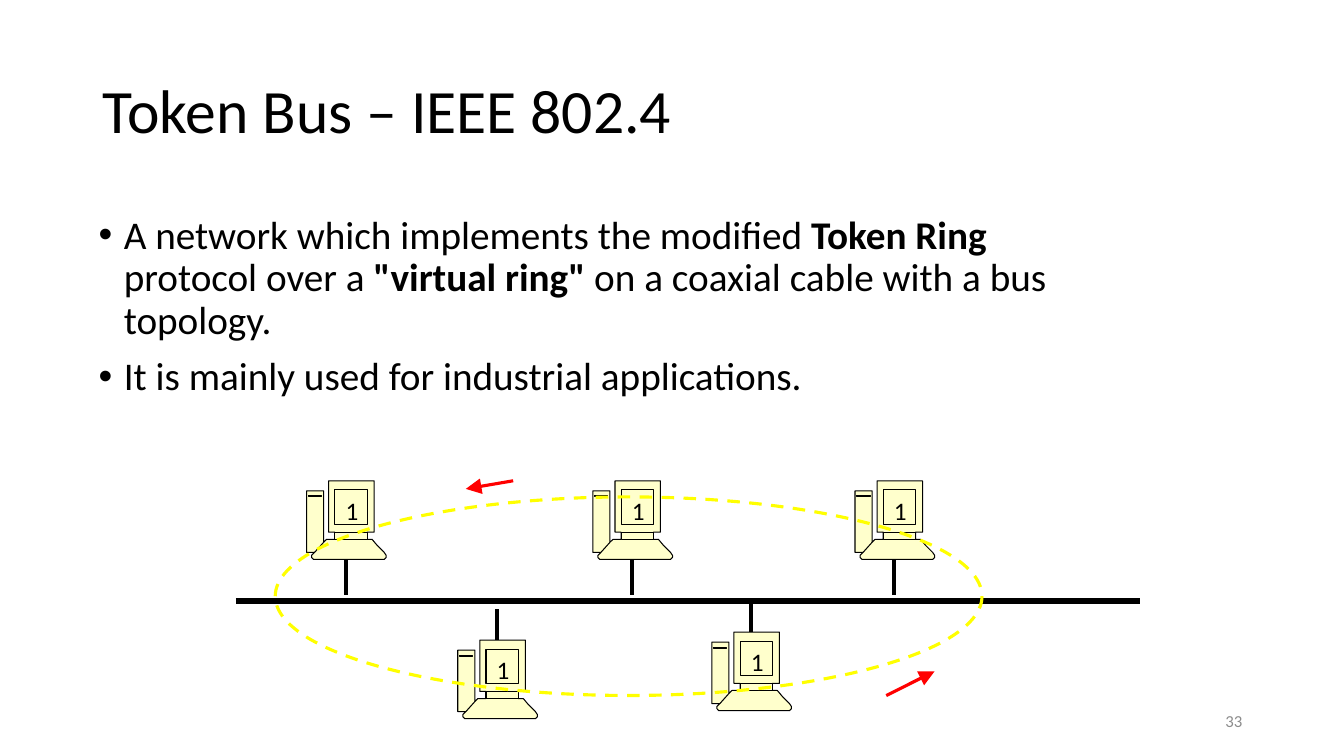
from lxml.etree import SubElement
from pptx import Presentation
from pptx.dml.color import RGBColor
from pptx.enum.dml import MSO_LINE
from pptx.enum.shapes import MSO_CONNECTOR, MSO_SHAPE
from pptx.enum.text import MSO_ANCHOR, PP_ALIGN
from pptx.oxml.ns import qn
from pptx.util import Inches, Pt

COLORS = {"ink": "000000", "page_number": "8C8C8C", "computer": "FFFFCC",
          "ring": "FFFF00", "token": "FF0000"}
FONT = "Calibri"
BUS_Y = 5.96
UPPER_STATIONS = [(3.04, 4.77), (5.88, 4.77), (8.48, 4.77)]
LOWER_STATIONS = [(4.54, 6.35), (7.06, 6.27)]
TOKEN_MOVES = [((5.09, 4.77), (4.62, 4.85)), ((8.79, 6.9), (9.27, 6.66))]
CASE = [
    (0.17, 0.61), (0.2, 0.58), (0.28, 0.58), (0.28, 0.51), (0.22, 0.51),
    (0.22, 0), (0.67, 0), (0.67, 0.51), (0.6, 0.51), (0.6, 0.58),
    (0.65, 0.58), (0.7, 0.64), (0.77, 0.71), (0.79, 0.74), (0.79, 0.76),
    (0.77, 0.78), (0.07, 0.78), (0.05, 0.76), (0.05, 0.74), (0.08, 0.71),
    (0, 0.71), (0, 0.1), (0.17, 0.1)]
KEYBOARD_EDGE = [(0.17, 0.61), (0.08, 0.71)]
SCREEN = [(0.28, 0.09), (0.6, 0.09), (0.6, 0.43), (0.28, 0.43)]
DRIVE_SLOT = [(0.02, 0.15), (0.15, 0.15), (0.15, 0.16), (0.02, 0.16)]
NECK = [(0.28, 0.51), (0.6, 0.51), (0.6, 0.58), (0.28, 0.58)]
COMPUTER_PARTS = [CASE, KEYBOARD_EDGE, SCREEN, DRIVE_SLOT, NECK]
BULLETS = [
    [("A network which implements the modified ", False), ("Token Ring", True),
     (" protocol over a ", False), ('"virtual ring"', True),
     (" on a coaxial cable with a bus topology.", False)],
    [("It is mainly used for industrial applications.", False)]]


def rgb(name):
    """Return the named colour."""
    return RGBColor.from_string(COLORS[name])


def add_run(paragraph, text, size, color="ink", bold=False):
    """Append one formatted run."""
    run = paragraph.add_run()
    run.text = text
    run.font.name = FONT
    run.font.size = Pt(size)
    run.font.bold = bold
    run.font.color.rgb = rgb(color)


def add_text_frame(slide, left, top, width, height, anchor=MSO_ANCHOR.MIDDLE):
    """Add a wrapping text box and return its frame."""
    box = slide.shapes.add_textbox(Inches(left), Inches(top), Inches(width), Inches(height))
    frame = box.text_frame
    frame.word_wrap = True
    frame.vertical_anchor = anchor
    return frame


def add_bullets(slide):
    """Add the description of the network."""
    frame = add_text_frame(slide, 0.88, 2.09, 10, 2.32, MSO_ANCHOR.TOP)
    for index, runs in enumerate(BULLETS):
        paragraph = frame.add_paragraph() if index else frame.paragraphs[0]
        paragraph.line_spacing = 0.9
        paragraph.space_before = Pt(10 if index else 0)
        properties = paragraph._p.get_or_add_pPr()
        properties.set("marL", str(Inches(0.25)))
        properties.set("indent", str(Inches(-0.25)))
        SubElement(properties, qn("a:buFont")).set("typeface", "Arial")
        SubElement(properties, qn("a:buChar")).set("char", "•")
        for text, bold in runs:
            add_run(paragraph, text, 28, bold=bold)


def add_line(slide, start, end, width, color="ink", arrow=False):
    """Add a straight line, with a large arrowhead at its end if asked."""
    line = slide.shapes.add_connector(
        MSO_CONNECTOR.STRAIGHT, *(Inches(value) for value in (*start, *end)))
    line.line.color.rgb = rgb(color)
    line.line.width = Pt(width)
    if arrow:
        SubElement(line.line._get_or_add_ln(), qn("a:tailEnd"),
                   {"type": "triangle", "w": "lg", "len": "lg"})
    SubElement(line._element.spPr, qn("a:effectLst"))


def style_shape(shape, fill, line, width):
    """Set fill and outline, and drop the shadow."""
    shape.shadow.inherit = False
    if fill:
        shape.fill.solid()
        shape.fill.fore_color.rgb = rgb(fill)
    else:
        shape.fill.background()
    shape.line.color.rgb = rgb(line)
    shape.line.width = Pt(width)


def split_contours(shape):
    """Give each contour its own outline, so that inner parts stay filled."""
    outlines = shape._element.spPr.find(".//" + qn("a:pathLst"))
    combined = outlines[0]
    for step in list(combined):
        if step.tag == qn("a:moveTo"):
            contour = SubElement(outlines, combined.tag, dict(combined.attrib))
        contour.append(step)
    outlines.remove(combined)


def add_computer(slide, left, top):
    """Draw a numbered computer from its top left corner."""
    parts = [[(Inches(left + x), Inches(top + y)) for x, y in part]
             for part in COMPUTER_PARTS]
    builder = slide.shapes.build_freeform(*parts[0][0], scale=1.0)
    for index, part in enumerate(parts):
        if index:
            builder.move_to(*part[0])
        builder.add_line_segments(part[1:], close=True)
    computer = builder.convert_to_shape()
    split_contours(computer)
    style_shape(computer, "computer", "ink", 0.75)
    frame = computer.text_frame
    frame.margin_left, frame.margin_right = Inches(0.11), 0
    frame.margin_top, frame.margin_bottom = 0, Inches(0.2)
    frame.word_wrap = True
    frame.vertical_anchor = MSO_ANCHOR.MIDDLE
    frame.paragraphs[0].alignment = PP_ALIGN.CENTER
    add_run(frame.paragraphs[0], "1", 18)


def add_station(slide, left, top, cable_top):
    """Draw a computer and the cable that leads to the bus."""
    add_line(slide, (left + 0.39, cable_top + 0.34), (left + 0.39, cable_top), 3)
    add_computer(slide, left, top)


def add_network(slide):
    """Draw the bus, its stations and the virtual ring."""
    add_line(slide, (2.34, BUS_Y), (11.31, BUS_Y), 4.5)
    for left, top in UPPER_STATIONS:
        add_station(slide, left, top, top + 0.79)
    for left, top in LOWER_STATIONS:
        add_station(slide, left, top, top - 0.31)
    ring = slide.shapes.add_shape(
        MSO_SHAPE.OVAL, Inches(2.73), Inches(4.93), Inches(7.01), Inches(1.97))
    style_shape(ring, None, "ring", 2.25)
    ring.line.dash_style = MSO_LINE.DASH
    for start, end in TOKEN_MOVES:
        add_line(slide, start, end, 2.25, "token", arrow=True)


def main():
    """Build and save the slide."""
    deck = Presentation()
    deck.slide_width, deck.slide_height = Inches(13.33), Inches(7.5)
    slide = deck.slides.add_slide(deck.slide_layouts[6])
    number = add_text_frame(slide, 9.42, 6.95, 3, 0.4).paragraphs[0]
    number.alignment = PP_ALIGN.RIGHT
    add_run(number, "33", 12, "page_number")
    title = add_text_frame(slide, 0.92, 0.4, 11.5, 1.45).paragraphs[0]
    title.line_spacing = 0.9
    add_run(title, "Token Bus – IEEE 802.4", 44)
    add_bullets(slide)
    add_network(slide)
    deck.save("out.pptx")


if __name__ == "__main__":
    main()
